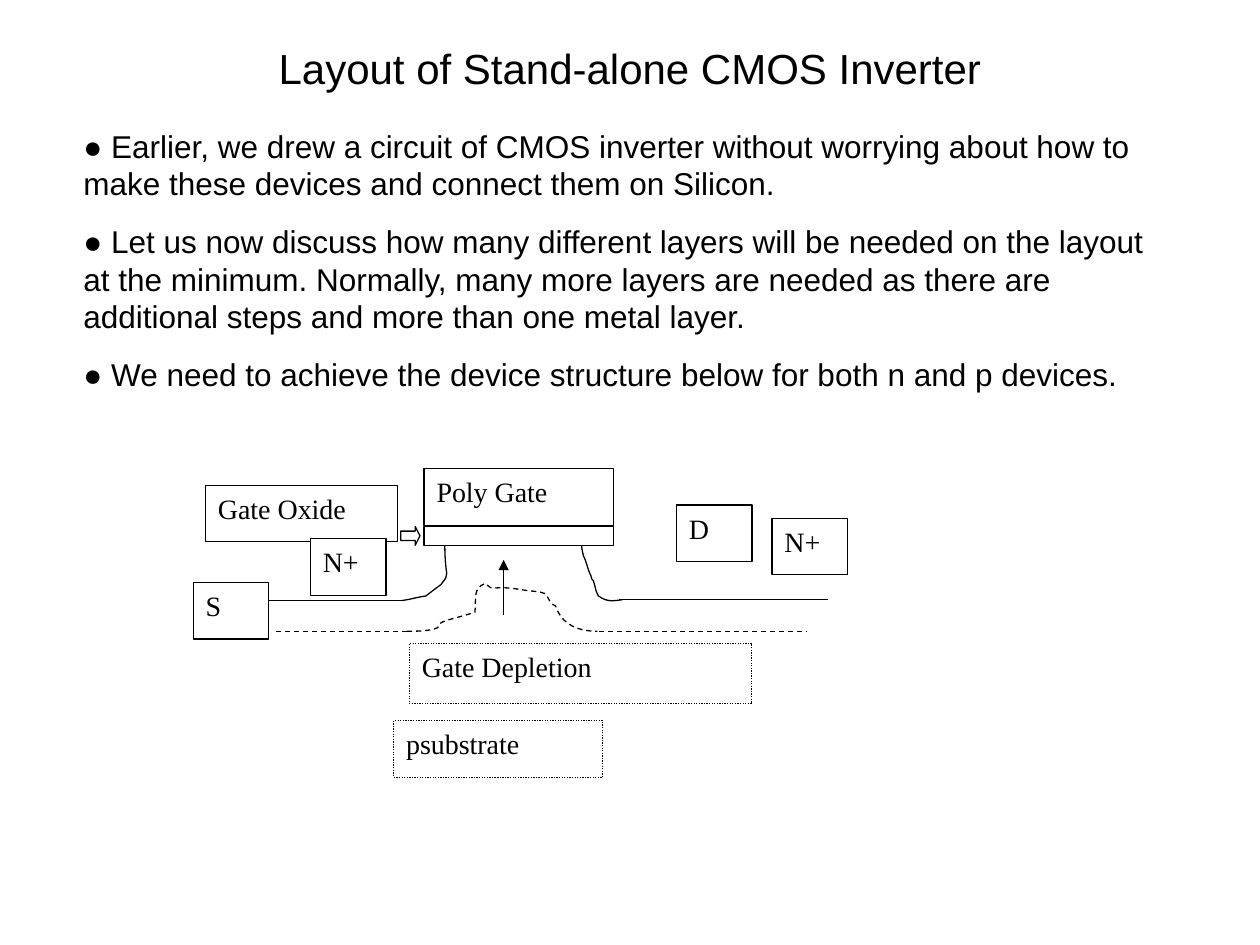
from dataclasses import dataclass

import pptx
import pptx.dml.color
import pptx.enum.dml
import pptx.enum.shapes
import pptx.enum.text
import pptx.oxml
import pptx.oxml.ns
import pptx.util

Pt = pptx.util.Pt
Kind = pptx.enum.shapes.MSO_SHAPE
Dash = pptx.enum.dml.MSO_LINE
Align = pptx.enum.text.PP_ALIGN
Point = tuple[float, float]


@dataclass(frozen=True)
class Theme:
    ink: pptx.dml.color.RGBColor = pptx.dml.color.RGBColor(0, 0, 0)
    paper: pptx.dml.color.RGBColor = pptx.dml.color.RGBColor(255, 255, 255)
    sans: str = "Arial"
    serif: str = "Times New Roman"
    title: float = 24
    body: float = 18
    label: float = 16
    line: float = 0.75


@dataclass(frozen=True)
class Box:
    left: float
    top: float
    width: float = 43.2
    height: float = 32.4
    text: str = ""
    kind: Kind = Kind.RECTANGLE
    dash: Dash | None = None


@dataclass(frozen=True)
class Wire:
    start: Point
    end: Point
    dash: Dash | None = None
    arrow: bool = False


@dataclass(frozen=True)
class Curve:
    """A start point, then two controls and an end point for each Bézier."""
    nodes: list[Point]
    dash: Dash | None = None


THEME = Theme()
TITLE = "Layout of Stand-alone CMOS Inverter"
BODY = [
    "● Earlier, we drew a circuit of CMOS inverter without worrying about how to "
    "make these devices and connect them on Silicon.",
    "● Let us now discuss how many different layers will be needed on the layout "
    "at the minimum. Normally, many more layers are needed as there are "
    "additional steps and more than one metal layer.",
    "● We need to achieve the device structure below for both n and p devices.",
]

WIRES = [
    Wire((353.5, 342.7), (473, 342.7)),
    Wire((153.4, 343.2), (229.7, 343.2)),
    Wire((157.7, 360.7), (234, 360.7), Dash.DASH),
    Wire((342, 360.7), (460.8, 360.7), Dash.DASH),
    Wire((287.8, 351.4), (287.8, 319.9), arrow=True),
]

DRAIN = Curve([
    (355.7, 342.7), (350.6, 343.4), (347, 344.2), (342, 340.6),
    (339.8, 336.2), (341.3, 339.1), (339.1, 331.9),
    (338.4, 331.2), (337.7, 330.5), (337.7, 329),
    (335.5, 324.7), (335.5, 321.8), (333.4, 317.5),
    (331.9, 311), (332.6, 313.2), (332.6, 310.3),
])
SOURCE = Curve([
    (229.7, 343.2), (234, 342.7), (238.3, 341.3), (243.4, 340.6),
    (246.2, 338.4), (249.1, 336.2), (252, 334.1),
    (257.8, 326.2), (254.2, 332.6), (254.2, 311),
])
DEPLETION = Curve([
    (232.6, 360.7), (236.9, 360.7), (241.2, 360.7), (245.5, 360),
    (256.3, 357.8), (244.8, 357.8), (256.3, 354.2),
    (261.4, 352.8), (266.4, 351.4), (271.4, 349.9),
    (272.2, 342), (270, 336.2), (277.2, 333.4),
    (283.7, 338.4), (277.9, 334.8), (293, 336.2),
    (294.5, 336.2), (296.6, 337), (298.1, 337),
    (301.7, 337.7), (305.3, 337.7), (308.9, 338.4),
    (313.2, 339.8), (311, 338.4), (314.6, 344.2),
    (315.4, 345.6), (316.8, 345.6), (317.5, 346.3),
    (321.1, 357.1), (330.5, 360.7), (341.3, 360.7),
], Dash.DASH)

BOXES = [
    Box(386.6, 288.5, text="D"),
    Box(441.2, 296.1, text="N+"),
    Box(242.4, 267.8, 108.4, text="Poly Gate"),
    Box(225, 411.8, 119.5, text="psubstrate", dash=Dash.ROUND_DOT),
    Box(234, 367.5, 195.6, 34.6, "Gate Depletion", dash=Dash.ROUND_DOT),
    Box(242.4, 300.8, 108.4, 10.8),
    Box(229, 300.8, 11, 10.8, kind=Kind.RIGHT_ARROW),
    Box(117.5, 277.5, 109.6, 31.8, "Gate Oxide"),
    Box(177.4, 307.8, text="N+"),
    Box(110.4, 332.7, text="S"),
]


def style(para, size: float, face: str, align: Align = Align.LEFT) -> None:
    para.alignment = align
    para.font.size = Pt(size)
    para.font.name = face
    para.font.color.rgb = THEME.ink


def ink(line, dash: Dash | None) -> None:
    line.color.rgb = THEME.ink
    line.width = Pt(THEME.line)
    if dash is not None:
        line.dash_style = dash


def node(tag: str, attrs: str = ""):
    """An empty drawing element."""
    return pptx.oxml.parse_xml(
        f'<a:{tag} {pptx.oxml.ns.nsdecls("a")} {attrs}/>')


def prose(slide, area: tuple, texts: list[str], size: float,
          gap: float, align: Align = Align.LEFT) -> None:
    frame = slide.shapes.add_textbox(*map(Pt, area)).text_frame
    frame.word_wrap = True
    frame.text = "\n".join(texts)
    for para in frame.paragraphs:
        style(para, size, THEME.sans, align)
        para.space_before = Pt(gap)


def draw_box(slide, box: Box) -> None:
    area = map(Pt, (box.left, box.top, box.width, box.height))
    shape = slide.shapes.add_shape(box.kind, *area)
    shape.shadow.inherit = False
    shape.fill.solid()
    shape.fill.fore_color.rgb = THEME.paper
    ink(shape.line, box.dash)
    if box.kind == Kind.RIGHT_ARROW:
        shape.adjustments[1] = 0.25
    if box.text:
        frame = shape.text_frame
        frame.word_wrap = True
        frame.vertical_anchor = pptx.enum.text.MSO_ANCHOR.TOP
        frame.text = box.text
        style(frame.paragraphs[0], THEME.label, THEME.serif)


def draw_wire(slide, wire: Wire) -> None:
    ends = map(Pt, wire.start + wire.end)
    link = slide.shapes.add_connector(
        pptx.enum.shapes.MSO_CONNECTOR.STRAIGHT, *ends)
    ink(link.line, wire.dash)
    props = link._element.spPr
    if wire.arrow:
        props.find(pptx.oxml.ns.qn("a:ln")).append(
            node("tailEnd", 'type="triangle"'))
    props.append(node("effectLst"))


def draw_curve(slide, curve: Curve) -> None:
    """Lay the nodes as an outline, then make each three a cubic Bézier."""
    first, *rest = [(Pt(x), Pt(y)) for x, y in curve.nodes]
    pen = slide.shapes.build_freeform(*first)
    pen.add_line_segments(rest, close=False)
    shape = pen.convert_to_shape()
    shape.shadow.inherit = False
    shape.fill.background()
    ink(shape.line, curve.dash)
    steps = list(shape._element.iter(pptx.oxml.ns.qn("a:lnTo")))
    for i in range(0, len(steps), 3):
        bend = node("cubicBezTo")
        steps[i].addprevious(bend)
        for step in steps[i:i + 3]:
            bend.append(step[0])
            step.getparent().remove(step)


def main() -> None:
    deck = pptx.Presentation()
    deck.slide_width, deck.slide_height = Pt(720), Pt(540)
    slide = deck.slides.add_slide(deck.slide_layouts[6])
    prose(slide, (26, 21, 668, 36), [TITLE], THEME.title, 15, Align.CENTER)
    prose(slide, (40.6, 68.8, 628, 160), BODY, THEME.body, 11.2)
    for wire in WIRES:
        draw_wire(slide, wire)
    for curve in (DRAIN, SOURCE, DEPLETION):
        draw_curve(slide, curve)
    for box in BOXES:
        draw_box(slide, box)
    deck.save("out.pptx")


if __name__ == "__main__":
    main()
